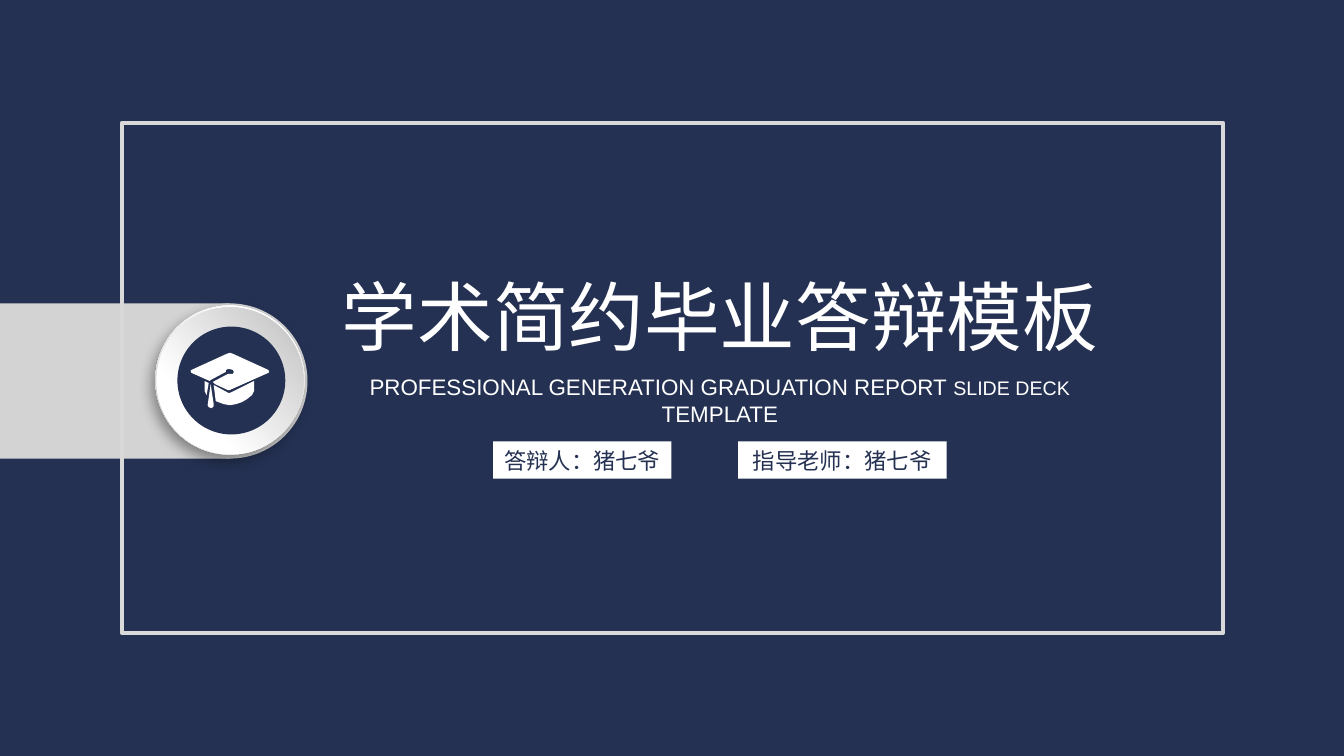
from pptx import Presentation
from pptx.dml.color import RGBColor
from pptx.enum.shapes import MSO_SHAPE
from pptx.enum.text import MSO_ANCHOR, MSO_AUTO_SIZE, PP_ALIGN
from pptx.oxml import parse_xml
from pptx.oxml.ns import nsdecls
from pptx.util import Inches, Pt

NAVY = RGBColor(0x24, 0x31, 0x52)
WHITE = RGBColor(0xFF, 0xFF, 0xFF)
TAB = RGBColor(0xD3, 0xD3, 0xD3)
EDGE = RGBColor(0xD9, 0xD9, 0xD9)
DARK = RGBColor(0xB8, 0xB8, 0xB8)
GREY = RGBColor(0xBF, 0xBF, 0xBF)
LATIN = "Arial"
HAN = "Noto Sans CJK SC"

BOARD = [(36, 1), (39, 0), (42, 1), (77, 17), (78, 19), (77, 20), (41, 36), (39, 37),
         (37, 37), (24, 31), (22, 29), (37, 21), (42, 21), (43, 19), (42, 17), (38, 16),
         (35, 17), (35, 19), (20, 27), (19, 28), (10, 24), (1, 20), (0, 18), (1, 17)]
STRAP = [(14, 28), (18, 30), (16, 42), (14, 38)]
BOWL = [(41, 39), (63, 28), (63, 38), (61, 42), (56, 46), (51, 49), (45, 51), (39, 52),
        (33, 51), (25, 48), (24, 40), (23, 32), (36, 39), (38, 40)]
TASSEL = [(17, 52), (20, 31), (23, 51), (23, 53), (21, 55), (18, 54)]


def style(run, size, color, font):
    """Set the size, colour and fonts of a run."""
    run.font.size = Pt(size)
    run.font.color.rgb = color
    run.font.name = font
    run.font._element.append(parse_xml(f'<a:ea {nsdecls("a")} typeface="{font}"/>'))


def place(shape, left, top, width, height):
    """Move a shape to a box in inches."""
    shape.left, shape.top = Inches(left), Inches(top)
    shape.width, shape.height = Inches(width), Inches(height)


def solid(slide, kind, box, color):
    """Add a plain filled shape."""
    shape = slide.shapes.add_shape(kind, *map(Inches, box))
    shape.shadow.inherit = False
    shape.fill.solid()
    shape.fill.fore_color.rgb = color
    shape.line.fill.background()
    return shape


def disc(slide, box, turn, stops):
    """Add a turned circle with a two-stop gradient."""
    shape = solid(slide, MSO_SHAPE.OVAL, box, WHITE)
    shape.rotation = turn
    shape.fill.gradient()
    shape.fill.gradient_angle = 315
    for stop, (spot, color) in zip(shape.fill.gradient_stops, stops):
        stop.position = spot
        stop.color.rgb = color
    return shape


def shade(shape):
    """Give a shape a soft shadow to the lower left."""
    shape.shadow.inherit = True
    shape._element.spPr.append(parse_xml(
        f'<a:effectLst {nsdecls("a")}><a:outerShdw blurRad="{Pt(10)}" dist="{Pt(5)}" '
        f'dir="{123 * 60000}" algn="ctr" rotWithShape="0"><a:srgbClr val="000000">'
        '<a:alpha val="39000"/></a:srgbClr></a:outerShdw></a:effectLst>'))


def cap(slide, left, top):
    """Draw the graduation cap from its four parts."""
    for points in (BOARD, STRAP, BOWL, TASSEL):
        pen = slide.shapes.build_freeform(*points[0], scale=Inches(0.01))
        pen.add_line_segments(points[1:], close=True)
        part = pen.convert_to_shape(Inches(left), Inches(top))
        part.shadow.inherit = False
        part.fill.solid()
        part.fill.fore_color.rgb = WHITE
        part.line.fill.background()


def badge(slide, left, top, size):
    """Draw the tab from the slide edge and the round badge."""
    solid(slide, MSO_SHAPE.RECTANGLE, (0, top, left + size / 2, size), TAB)
    solid(slide, MSO_SHAPE.OVAL, (left, top, size, size), TAB)
    rim = disc(slide, (left + 0.03, top + 0.02, 1.48, 1.48), 62.3,
               [(0.17, WHITE), (0.88, DARK)])
    shade(rim)
    disc(slide, (left + 0.04, top + 0.04, 1.46, 1.46), 273,
         [(0.29, WHITE), (0.98, GREY)])
    solid(slide, MSO_SHAPE.OVAL, (left + 0.25, top + 0.23, 1.07, 1.07), NAVY)
    cap(slide, left + 0.38, top + 0.49)


def fit(frame, anchor):
    """Set up a centred heading frame."""
    frame.word_wrap = True
    frame.auto_size = MSO_AUTO_SIZE.NONE
    frame.vertical_anchor = anchor
    line = frame.paragraphs[0]
    line.alignment = PP_ALIGN.CENTER
    line.space_before = Pt(0)
    line.line_spacing = 1.0
    return line


def heading(slide, left, top, width):
    """Fill the title and subtitle placeholders."""
    title, sub = slide.placeholders
    place(title, left, top, width, 1.01)
    title.text_frame.text = "学术简约毕业答辩模板"
    line = fit(title.text_frame, MSO_ANCHOR.MIDDLE)
    style(line.runs[0], 54, WHITE, HAN)
    place(sub, left + 0.2, top + 1.03, width - 0.4, 0.64)
    line = fit(sub.text_frame, MSO_ANCHOR.TOP)
    for words, size in (("PROFESSIONAL GENERATION GRADUATION REPORT ", 16),
                        ("SLIDE DECK", 14), (" TEMPLATE", 16)):
        run = line.add_run()
        run.text = words
        style(run, size, WHITE, LATIN)


def label(slide, words, left, top, width):
    """Add a white name label."""
    shape = solid(slide, MSO_SHAPE.RECTANGLE, (left, top, width, 0.37), WHITE)
    frame = shape.text_frame
    frame.text = words
    frame.word_wrap = False
    frame.vertical_anchor = MSO_ANCHOR.MIDDLE
    frame.paragraphs[0].alignment = PP_ALIGN.CENTER
    style(frame.paragraphs[0].runs[0], 16, NAVY, HAN)


def border(slide, box):
    """Add the open frame around the cover."""
    shape = solid(slide, MSO_SHAPE.RECTANGLE, box, EDGE)
    shape.fill.background()
    shape.line.color.rgb = EDGE
    shape.line.width = Pt(3)


def cover(deck):
    """Build the cover slide."""
    slide = deck.slides.add_slide(deck.slide_layouts[0])
    slide.background.fill.solid()
    slide.background.fill.fore_color.rgb = NAVY
    badge(slide, 1.51, 3.01, 1.54)
    heading(slide, 3.2, 2.62, 7.88)
    label(slide, "答辩人：猪七爷", 4.89, 4.38, 1.77)
    label(slide, "指导老师：猪七爷", 7.32, 4.38, 2.07)
    border(slide, (1.21, 1.22, 10.92, 5.06))


def main():
    """Make and save the deck."""
    deck = Presentation()
    deck.slide_width, deck.slide_height = Inches(13.33), Inches(7.5)
    cover(deck)
    deck.save("out.pptx")


if __name__ == "__main__":
    main()
